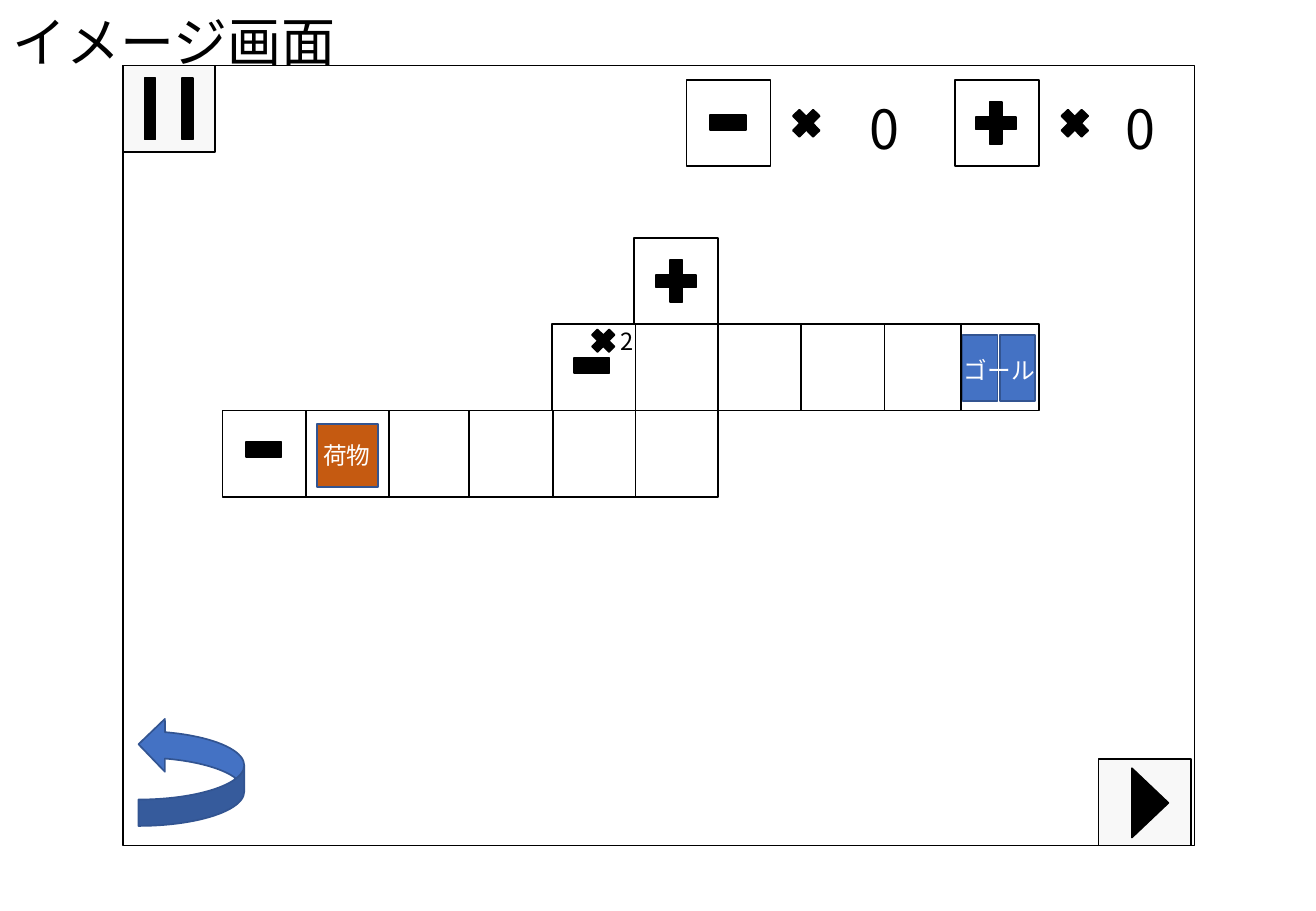
"""Build the puzzle game screen mock-up slide."""
from pptx import Presentation, util as u
from pptx.dml.color import RGBColor
from pptx.enum import shapes, text

BLACK = RGBColor(0x00, 0x00, 0x00)
WHITE = RGBColor(0xFF, 0xFF, 0xFF)
BUTTON_GRAY = RGBColor(0xF8, 0xF8, 0xF8)
BLUE = RGBColor(0x44, 0x72, 0xC4)
DARK_BLUE = RGBColor(0x32, 0x54, 0x91)
ORANGE = RGBColor(0xC5, 0x5A, 0x11)

GRID_COLUMNS, GRID_ROWS = 1083, 750
UNIT = u.Inches(0.01)
CELL_WIDTH, CELL_HEIGHT = 69, 71
BOARD_TOP = 196
BOARD_COLUMNS = (183, 251, 317, 386, 454, 522, 591, 659, 722, 786)
FLOOR_CELLS = (
    (9, 1), (2, 2), (1, 2), (6, 1), (8, 1), (7, 1), (5, 2), (4, 2), (3, 2),
    (5, 1), (5, 0), (4, 1), (0, 2),
)
LATIN_FONT, NUMBER_FONT = "Calibri", "Noto Sans CJK JP"
SHAPE = shapes.MSO_SHAPE


def place(*lengths):
    """Turn grid columns and rows into slide lengths."""
    return [length * UNIT for length in lengths]


def add_block(slide, kind, box, fill=BLACK, line=BLACK):
    """Add a filled and outlined preset shape."""
    shape = slide.shapes.add_shape(kind, *place(*box))
    shape.shadow.inherit = False
    shape.fill.solid()
    shape.fill.fore_color.rgb = fill
    shape.line.color.rgb = line
    shape.line.width = u.Pt(1)
    return shape


def write(frame, words, size=14, font=LATIN_FONT, color=BLACK,
          align=text.PP_ALIGN.CENTER, spacing=1.0):
    """Write one formatted paragraph into a text frame."""
    frame.word_wrap = True
    paragraph = frame.paragraphs[0]
    paragraph.alignment = align
    paragraph.line_spacing = spacing
    run = paragraph.add_run()
    run.text = words
    run.font.size = u.Pt(size)
    run.font.name = font
    run.font.color.rgb = color


def add_label(slide, words, box, **style):
    """Add a text box that grows with its text."""
    frame = slide.shapes.add_textbox(*place(*box)).text_frame
    write(frame, words, **style)
    frame.auto_size = text.MSO_AUTO_SIZE.SHAPE_TO_FIT_TEXT


def add_title(slide, words):
    """Move the title placeholder to the corner and fill it."""
    title = slide.shapes.title
    title.left, title.top, title.width, title.height = place(0, 0, 526, 74)
    frame = title.text_frame
    frame.vertical_anchor = text.MSO_ANCHOR.MIDDLE
    frame.auto_size = text.MSO_AUTO_SIZE.NONE
    write(frame, words, size=32, align=text.PP_ALIGN.LEFT, spacing=0.9)


def add_cell(slide, left, top):
    """Add one white square."""
    add_block(slide, SHAPE.RECTANGLE, (left, top, CELL_WIDTH, CELL_HEIGHT), WHITE)


def add_minus(slide, left, top):
    """Add a minus sign."""
    add_block(slide, SHAPE.MATH_MINUS, (left, top, 40, 52))


def add_plus(slide, left, top):
    """Add a plus sign."""
    add_block(slide, SHAPE.MATH_PLUS, (left, top, 45, 47))


def add_counter(slide, left, number_left, number_width):
    """Add an item square with its multiplication sign and count."""
    top = 66
    add_cell(slide, left, top)
    add_block(slide, SHAPE.MATH_MULTIPLY, (left + 82.5, top + 19, 32, 33))
    add_label(slide, "0", (number_left, top + 8, number_width, 64),
              size=32, font=NUMBER_FONT)


def add_board(slide):
    """Add the floor cells with the signs, the parcel and the goal."""
    for column, row in FLOOR_CELLS:
        add_cell(slide, BOARD_COLUMNS[column], BOARD_TOP + row * CELL_HEIGHT)
    for door_left in (792, 823):
        add_block(slide, SHAPE.RECTANGLE, (door_left, 276, 29, 54), BLUE, DARK_BLUE)
    add_label(slide, "ゴール", (774, 288, 97, 34), color=WHITE)
    add_block(slide, SHAPE.RECTANGLE, (261, 349, 50, 52), ORANGE, DARK_BLUE)
    add_label(slide, "荷物", (245, 358, 81, 34), color=WHITE)
    add_minus(slide, 467, 275)
    add_minus(slide, 197, 344)
    add_plus(slide, 534, 208)
    add_block(slide, SHAPE.MATH_MULTIPLY, (483, 267, 27, 27))
    add_label(slide, "2", (501, 264, 28, 39), font=NUMBER_FONT)


def add_buttons(slide):
    """Add the pause, undo and play buttons."""
    for left, top in ((101, 54), (904, 625)):
        add_block(slide, SHAPE.RECTANGLE, (left, top, 76, 71), BUTTON_GRAY)
    for bar_left in (119, 150):
        add_block(slide, SHAPE.RECTANGLE, (bar_left, 64, 9, 51))
    play = add_block(slide, SHAPE.ISOSCELES_TRIANGLE, (918, 646, 57, 30))
    play.rotation = 90
    undo = add_block(slide, SHAPE.CURVED_LEFT_ARROW, (114, 591, 87, 89), BLUE, DARK_BLUE)
    undo.element.spPr.xfrm.set("flipV", "1")


def main():
    """Build and save the slide."""
    presentation = Presentation()
    presentation.slide_width, presentation.slide_height = place(GRID_COLUMNS, GRID_ROWS)
    slide = presentation.slides.add_slide(presentation.slide_layouts.get_by_name("Title Only"))
    add_title(slide, "イメージ画面")
    add_block(slide, SHAPE.RECTANGLE, (101, 54, 882, 642), WHITE)
    add_counter(slide, left=565, number_left=690, number_width=76)
    add_minus(slide, 579, 75)
    add_counter(slide, left=786, number_left=904, number_width=69)
    add_plus(slide, 797, 78)
    add_board(slide)
    add_buttons(slide)
    presentation.save("out.pptx")


if __name__ == "__main__":
    main()
